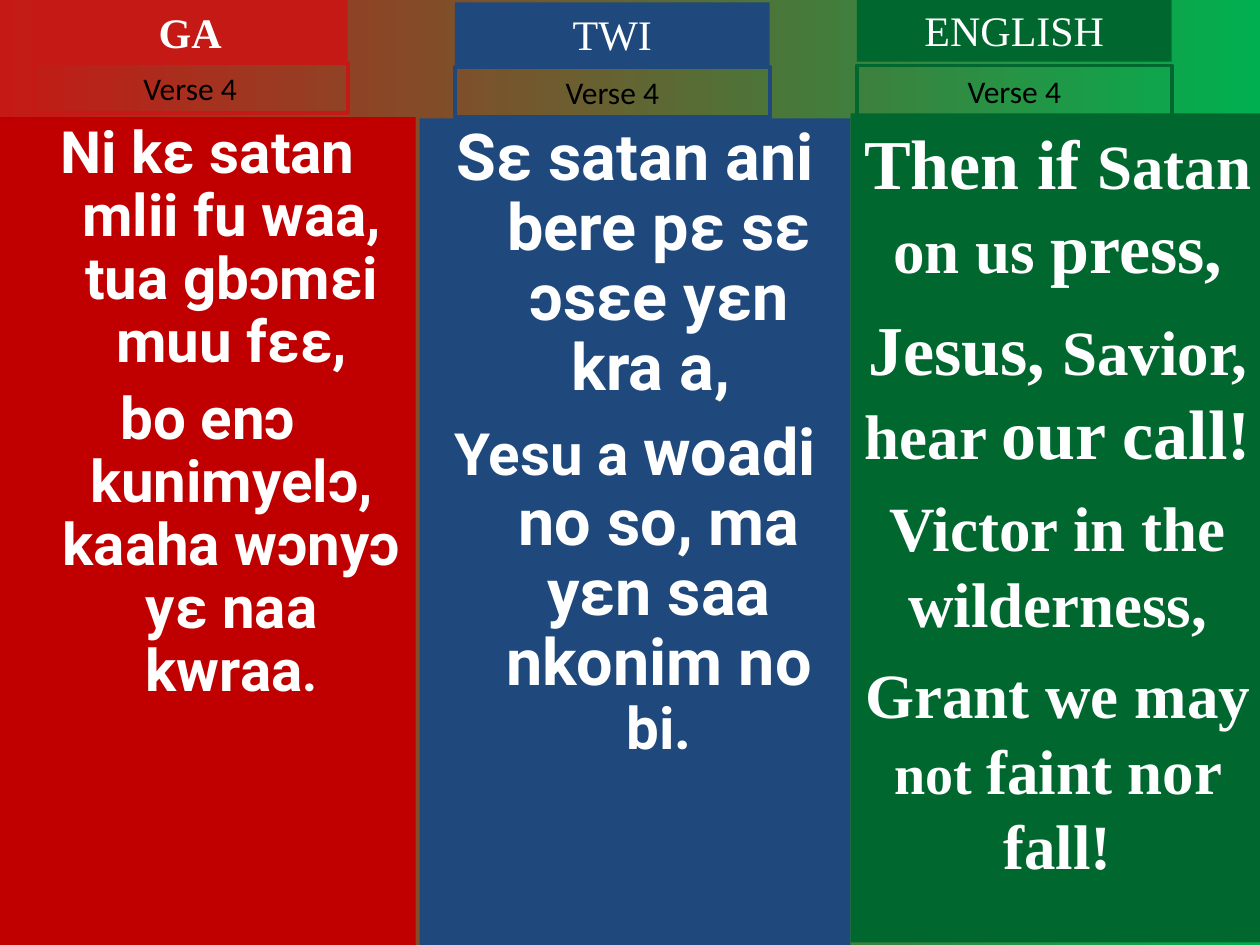
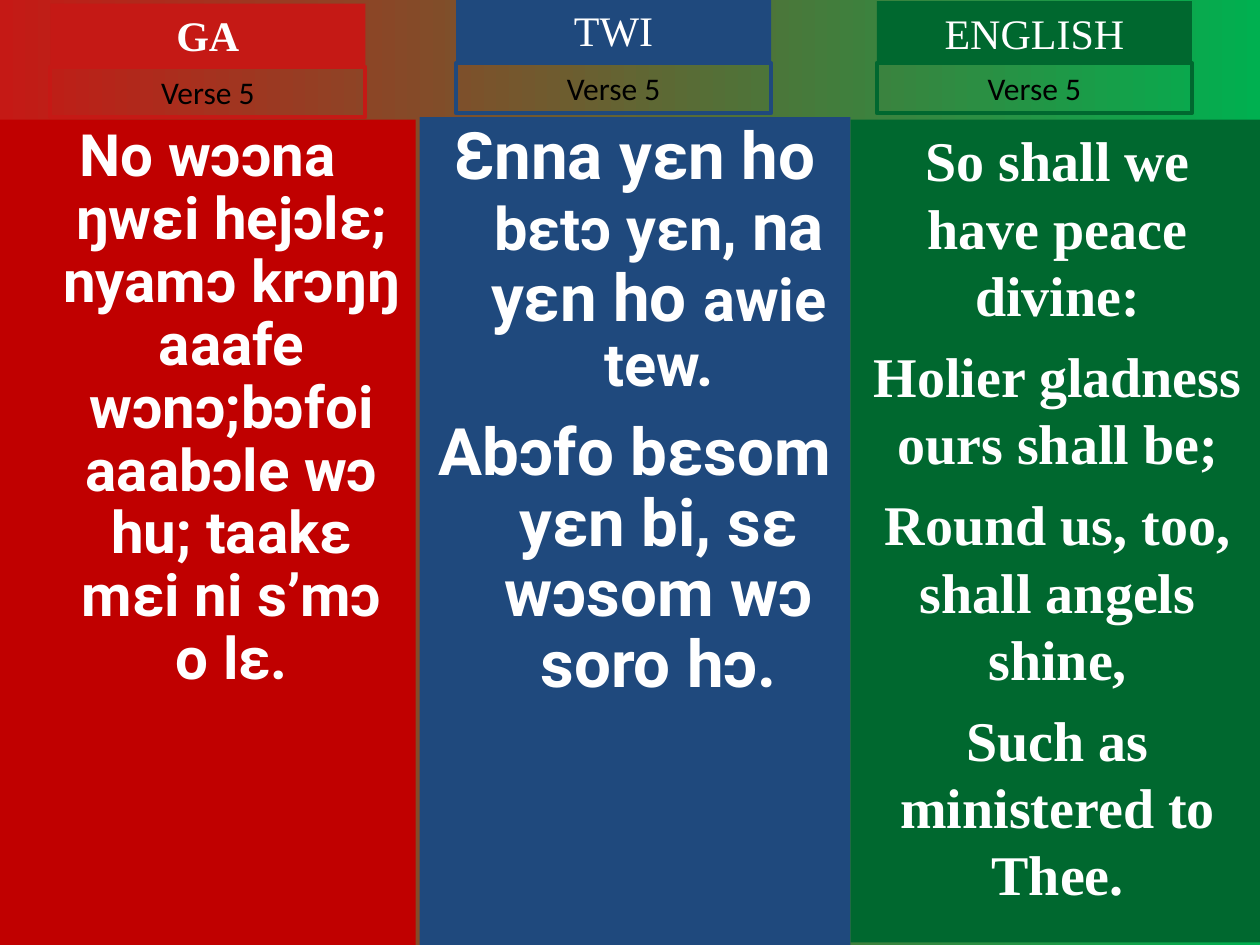
from dataclasses import dataclass

from pptx import Presentation
from pptx.dml.color import RGBColor
from pptx.enum.shapes import MSO_SHAPE
from pptx.enum.text import MSO_ANCHOR, MSO_AUTO_SIZE, PP_ALIGN
from pptx.util import Inches, Pt


@dataclass(frozen=True)
class Theme:
    red: str = "C51915"
    deep_red: str = "C00000"
    blue: str = "1F497D"
    green: str = "00682F"
    bright_green: str = "00B050"
    white: str = "FFFFFF"
    black: str = "000000"
    serif: str = "Times New Roman"
    local: str = "Roboto"
    label: str = "Calibri"
    tag_size: float = 24
    verse_size: float = 18
    border: float = 2.25


@dataclass(frozen=True)
class Column:
    language: str
    left: float
    width: float
    bottom: float
    tag_color: str
    body_color: str
    font: str
    hanging: bool = True
    tag_bold: bool = False


T = Theme()
COLUMNS = [
    Column("GA", 0, 3.3, 7.5, T.red, T.deep_red, T.local, tag_bold=True),
    Column("TWI", 3.33, 3.42, 7.5, T.blue, T.blue, T.local),
    Column("ENGLISH", 6.75, 3.29, 7.48, T.green, T.green, T.serif, hanging=False),
]
TAG_W, TAG_H, VERSE_H = 2.5, 0.5, 0.4
HANG, HANG_SPACING = 0.38, 0.9

# Per column: (tag left, tag top, verse top, body top), then paragraphs of
# (space before, [(text, size), ...]).
VERSES = {
    "Verse 4": [
        ((0.26, 0, 0.5, 0.93), [
            (0, [("Ni kɛ satan mlii fu waa, tua gbɔmɛi muu fɛɛ,", 33.3)]),
            (8, [("bo enɔ kunimyelɔ, kaaha wɔnyɔ yɛ naa kwraa", 33.3), (".", 29.6)]),
        ]),
        ((3.61, 0.02, 0.53, 0.94), [
            (0, [("Sɛ satan ani bere pɛ sɛ ɔsɛe yɛn kra a, ", 37)]),
            (9, [("Yesu a ", 33.3), ("woadi no so, ma yɛn saa nkonim no ", 37),
                 ("bi.", 33.3)]),
        ]),
        ((6.8, -0.01, 0.52, 0.9), [
            (0, [("Then if ", 40), ("Satan on us ", 36), ("press,", 40)]),
            (10, [("Jesus, ", 40), ("Savior, hear ", 36), ("our call!", 40)]),
            (9, [("Victor in the wilderness,", 36)]),
            (9, [("Grant we may ", 36), ("not ", 32), ("faint nor fall!", 36)]),
        ]),
    ],
    "Verse 5": [
        ((0.4, 0.03, 0.53, 0.95), [
            (0, [("No wɔɔna ŋwɛi hejɔlɛ; nyamɔ krɔŋŋ aaafe wɔnɔ;bɔfoi "
                  "aaabɔle wɔ hu; taakɛ mɛi ni s’mɔ o lɛ.", 33.3)]),
        ]),
        ((3.62, -0.01, 0.5, 0.93), [
            (0, [("Ɛnna yɛn ho ", 37.4), ("bɛtɔ yɛn, ", 34), ("na yɛn ho ", 37.4),
                 ("awie tew.", 34)]),
            (11, [("Abɔfo bɛsom yɛn bi, sɛ wɔsom wɔ soro hɔ.", 37.4)]),
        ]),
        ((6.96, 0.01, 0.5, 0.95), [
            (0, [("So shall we have peace divine:", 32)]),
            (8, [("Holier gladness ours shall be;", 32)]),
            (8, [("Round us, too, shall angels shine,", 32)]),
            (8, [("Such as ministered to Thee.", 32)]),
        ]),
    ],
}


def add_box(s, left, top, width, height, fill=None, line=None):
    sp = s.shapes.add_shape(MSO_SHAPE.RECTANGLE, Inches(left), Inches(top),
                            Inches(width), Inches(height))
    sp.shadow.inherit = False
    if fill:
        sp.fill.solid()
        sp.fill.fore_color.rgb = RGBColor.from_string(fill)
    else:
        sp.fill.background()
    if line:
        sp.line.color.rgb = RGBColor.from_string(line)
        sp.line.width = Pt(T.border)
    else:
        sp.line.fill.background()
    sp.text_frame.word_wrap = True
    sp.text_frame.vertical_anchor = MSO_ANCHOR.TOP
    return sp


def add_run(p, text, *, size, font, color=T.white, bold=False):
    p.alignment = PP_ALIGN.CENTER
    r = p.add_run()
    r.text = text
    r.font.size, r.font.name, r.font.bold = Pt(size), font, bold
    r.font.color.rgb = RGBColor.from_string(color)


def add_label(s, left, top, height, text, *, fill=None, line=None, **text_format):
    tf = add_box(s, left, top, TAG_W, height, fill, line).text_frame
    tf.auto_size = MSO_AUTO_SIZE.SHAPE_TO_FIT_TEXT
    add_run(tf.paragraphs[0], text, **text_format)


def add_lyrics(s, column, top, paragraphs):
    tf = add_box(s, column.left, top, column.width, column.bottom - top,
                 fill=column.body_color).text_frame
    for i, (space, runs) in enumerate(paragraphs):
        p = tf.add_paragraph() if i else tf.paragraphs[0]
        p.space_before = Pt(space)
        if column.hanging:
            p.line_spacing = HANG_SPACING
            pPr = p._p.get_or_add_pPr()
            pPr.set("marL", str(Inches(HANG)))
            pPr.set("indent", str(-Inches(HANG)))
        for text, size in runs:
            add_run(p, text, size=size, font=column.font, bold=True)


def add_column(s, column, verse, places, paragraphs):
    tag_left, tag_top, verse_top, body_top = places
    add_lyrics(s, column, body_top, paragraphs)
    add_label(s, tag_left, tag_top, TAG_H, column.language, fill=column.tag_color,
              size=T.tag_size, font=T.serif, bold=column.tag_bold)
    add_label(s, tag_left, verse_top, VERSE_H, verse, line=column.tag_color,
              size=T.verse_size, font=T.label, color=T.black)


def set_background(s):
    fill = s.background.fill
    fill.gradient()
    fill.gradient_angle = 0
    for stop, position, color in zip(fill.gradient_stops, (0, 1), (T.red, T.bright_green)):
        stop.position = position
        stop.color.rgb = RGBColor.from_string(color)


def add_verse_slide(prs, verse, contents):
    s = prs.slides.add_slide(prs.slide_layouts[6])
    set_background(s)
    for column, (places, paragraphs) in zip(COLUMNS, contents):
        add_column(s, column, verse, places, paragraphs)


def main():
    prs = Presentation()
    prs.slide_width, prs.slide_height = Inches(10), Inches(7.5)
    for verse, contents in VERSES.items():
        add_verse_slide(prs, verse, contents)
    prs.save("out.pptx")


if __name__ == "__main__":
    main()
